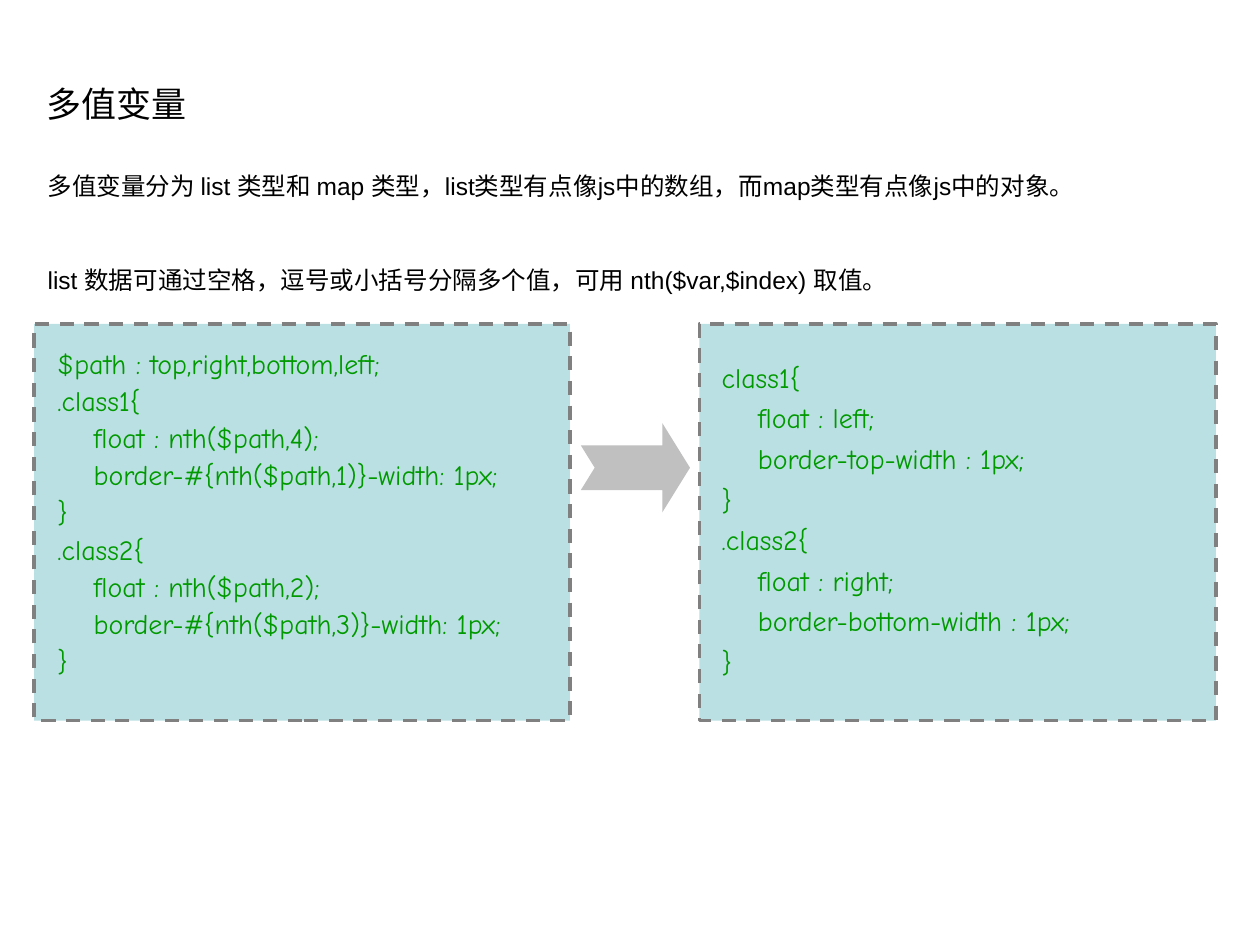
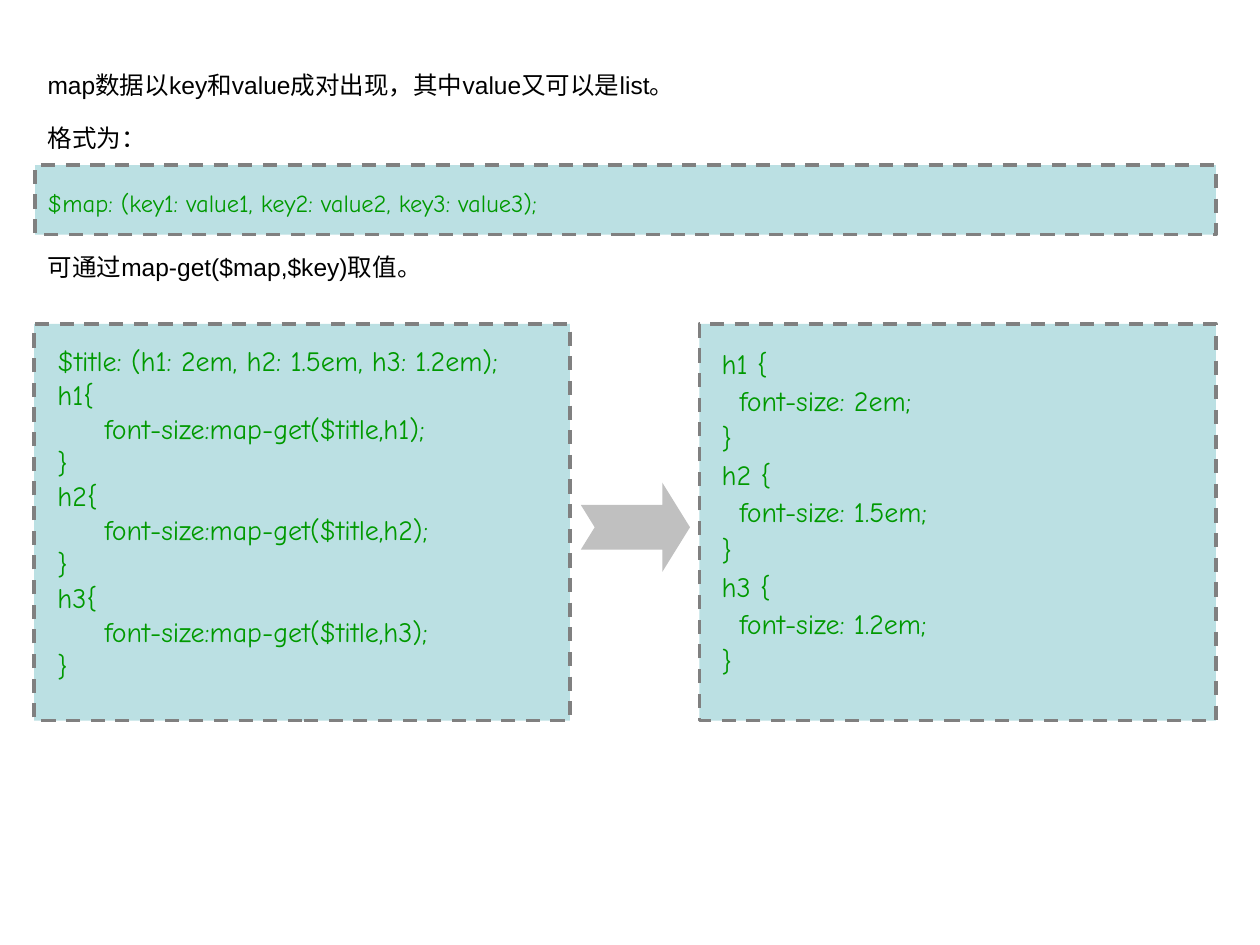
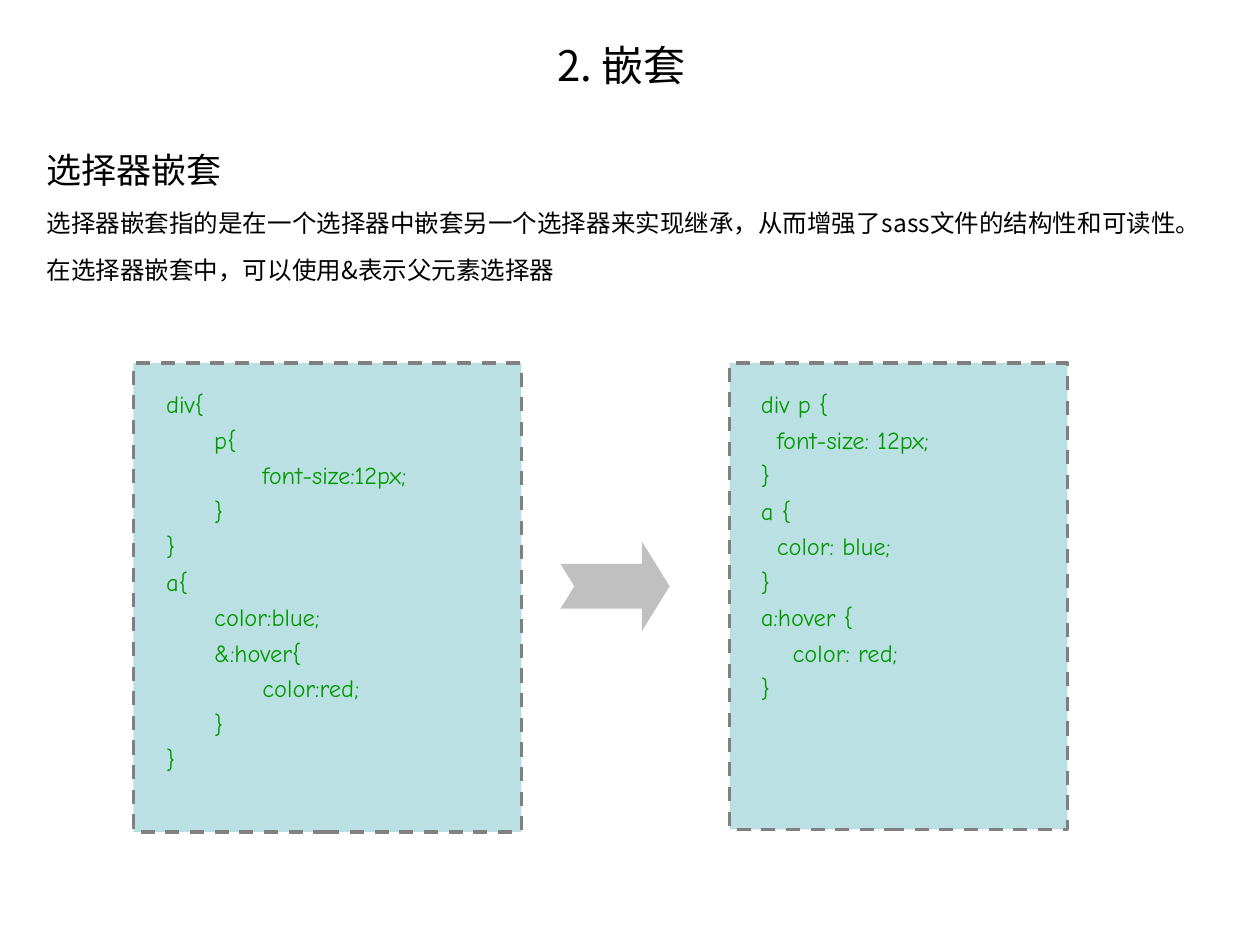
from lxml.etree import SubElement
from pptx import Presentation
from pptx.dml.color import RGBColor
from pptx.enum.dml import MSO_LINE
from pptx.enum.shapes import MSO_SHAPE
from pptx.enum.text import MSO_ANCHOR, PP_ALIGN
from pptx.oxml.ns import qn
from pptx.util import Cm, Pt

PANEL_FILL = "BBE0E3"
PANEL_LINE = "808080"
ARROW_FILL = "C0C0C0"
TEXT_COLOR = "000000"
CODE_COLOR = "009900"
CHINESE_FONT = "Noto Sans CJK SC"
CODE_FONT = "Comic Neue"
CODE = {"font": CODE_FONT, "color": CODE_COLOR}
BIG_CODE = CODE | {"size": 16, "before": 4}
SMALL_CODE = CODE | {"size": 14, "before": 3.5}


def paint(fill, color):
    fill.solid()
    fill.fore_color.rgb = RGBColor.from_string(color)


def write(frame, text, font="Arial", size=14, color=TEXT_COLOR, spacing=1.0,
          before=0, indent=0, align=PP_ALIGN.LEFT):
    for line in text.strip().splitlines():
        words = line.lstrip()
        level = (len(line) - len(words)) // 4
        para = frame.add_paragraph() if frame.text else frame.paragraphs[0]
        para.alignment = align
        para.line_spacing = spacing
        para.space_before = Pt(before)
        para._p.get_or_add_pPr().set("marL", str(Cm(indent * level)))
        span = para.add_run()
        span.text = words
        span.font.name = font
        span.font.size = Pt(size)
        paint(span.font.fill, color)
        SubElement(span._r.get_or_add_rPr(), qn("a:ea"), typeface=CHINESE_FONT)


list_source = """
$path : top,right,bottom,left;
.class1{
    float : nth($path,4);
    border-#{nth($path,1)}-width: 1px;
}
.class2{
    float : nth($path,2);
    border-#{nth($path,3)}-width: 1px;
}
"""
list_result = """
class1{
    float : left;
    border-top-width : 1px;
}
.class2{
    float : right;
    border-bottom-width : 1px;
}
"""
map_source = """
$title: (h1: 2em, h2: 1.5em, h3: 1.2em);
h1{
    font-size:map-get($title,h1);
}
h2{
    font-size:map-get($title,h2);
}
h3{
    font-size:map-get($title,h3);
}
"""
map_result = """
h1 {
    font-size: 2em;
}
h2 {
    font-size: 1.5em;
}
h3 {
    font-size: 1.2em;
}
"""
nesting_source = """
div{
    p{
        font-size:12px;
    }
}
a{
    color:blue;
    &:hover{
        color:red;
    }
}
"""
nesting_result = """
div p {
    font-size: 12px;
}
a {
    color: blue;
}
a:hover {
        color: red;
}
"""

source_panel = (0.69, 6.53, 10.8, 8)
result_panel = (14.1, 6.53, 10.41, 8)
source_box = (0.91, 6.93, 10.59, 7.21)

pages = [
    {
        "panels": [source_panel, result_panel],
        "arrow": (11.71, 8.53),
        "headings": [
            ((0.69, 1.32, 23.67, 1.55), [("多值变量", {"size": 20})]),
            ((0.71, 2.92, 23.67, 3.2), [
                ("多值变量分为 list 类型和 map 类型，list类型有点像js中的数组，而map类型有点像js中的对象。",
                 {"spacing": 1.6}),
                ("list 数据可通过空格，逗号或小括号分隔多个值，可用 nth($var,$index) 取值。",
                 {"spacing": 1.6, "before": 27}),
            ]),
        ],
        "listings": [
            (source_box, [(list_source, BIG_CODE | {"spacing": 0.9, "indent": 0.73})]),
            ((14.3, 7.14, 10.21, 7), [(list_result, BIG_CODE | {"indent": 0.73})]),
        ],
    },
    {
        "panels": [(0.71, 3.33, 23.8, 1.4), source_panel, result_panel],
        "arrow": (11.71, 9.73),
        "headings": [
            ((0.71, 0.74, 23.67, 1.6), [
                ("map数据以key和value成对出现，其中value又可以是list。", {"spacing": 1.6}),
            ]),
            ((0.71, 1.73, 23.67, 3.99), [
                ("格式为：", {"spacing": 2.2}),
                ("$map: (key1: value1, key2: value2, key3: value3);", CODE | {"spacing": 2.2}),
                ("可通过map-get($map,$key)取值。", {"spacing": 2.2}),
            ]),
        ],
        "listings": [
            (source_box, [(map_source, BIG_CODE | {"spacing": 0.8, "indent": 0.95})]),
            ((14.3, 6.93, 10.21, 7.4),
             [(map_result, BIG_CODE | {"spacing": 0.9, "indent": 0.36})]),
        ],
    },
    {
        "panels": [(2.69, 7.32, 7.82, 9.45), (14.71, 7.32, 6.81, 9.4)],
        "arrow": (11.3, 10.92),
        "headings": [
            ((0.69, 0.53, 23.67, 1.55), [
                ("2. 嵌套", {"font": CHINESE_FONT, "size": 24, "align": PP_ALIGN.CENTER}),
            ]),
            ((0.69, 2.51, 23.6, 3.2), [
                ("选择器嵌套", {"font": CHINESE_FONT, "size": 20, "spacing": 1.6}),
                ("选择器嵌套指的是在一个选择器中嵌套另一个选择器来实现继承，从而增强了sass文件的结构性和可读性。"
                 "在选择器嵌套中，可以使用&表示父元素选择器",
                 {"font": CHINESE_FONT, "spacing": 1.6}),
            ]),
        ],
        "listings": [
            ((3.1, 7.72, 7.01, 8.99), [(nesting_source, SMALL_CODE | {"indent": 0.97})]),
            ((15.09, 7.72, 5.99, 6.81), [(nesting_result, SMALL_CODE | {"indent": 0.32})]),
        ],
    },
]

deck = Presentation()
deck.slide_width = Cm(25.4)
deck.slide_height = Cm(19.05)

for content in pages:
    page = deck.slides.add_slide(deck.slide_layouts[6])

    for place in content["panels"]:
        panel = page.shapes.add_shape(MSO_SHAPE.RECTANGLE, *map(Cm, place))
        panel.shadow.inherit = False
        paint(panel.fill, PANEL_FILL)
        paint(panel.line.fill, PANEL_LINE)
        panel.line.width = Pt(2)
        panel.line.dash_style = MSO_LINE.DASH

    left, top = content["arrow"]
    arrow = page.shapes.add_shape(
        MSO_SHAPE.NOTCHED_RIGHT_ARROW, Cm(left), Cm(top), Cm(2.2), Cm(1.8))
    arrow.adjustments[0] = 0.5
    arrow.adjustments[1] = 0.31
    arrow.shadow.inherit = False
    paint(arrow.fill, ARROW_FILL)
    arrow.line.fill.background()

    for group, anchor in (("headings", MSO_ANCHOR.MIDDLE), ("listings", MSO_ANCHOR.TOP)):
        for place, texts in content[group]:
            box = page.shapes.add_textbox(*map(Cm, place))
            box.text_frame.word_wrap = True
            box.text_frame.vertical_anchor = anchor
            for text, style in texts:
                write(box.text_frame, text, **style)

deck.save("out.pptx")
